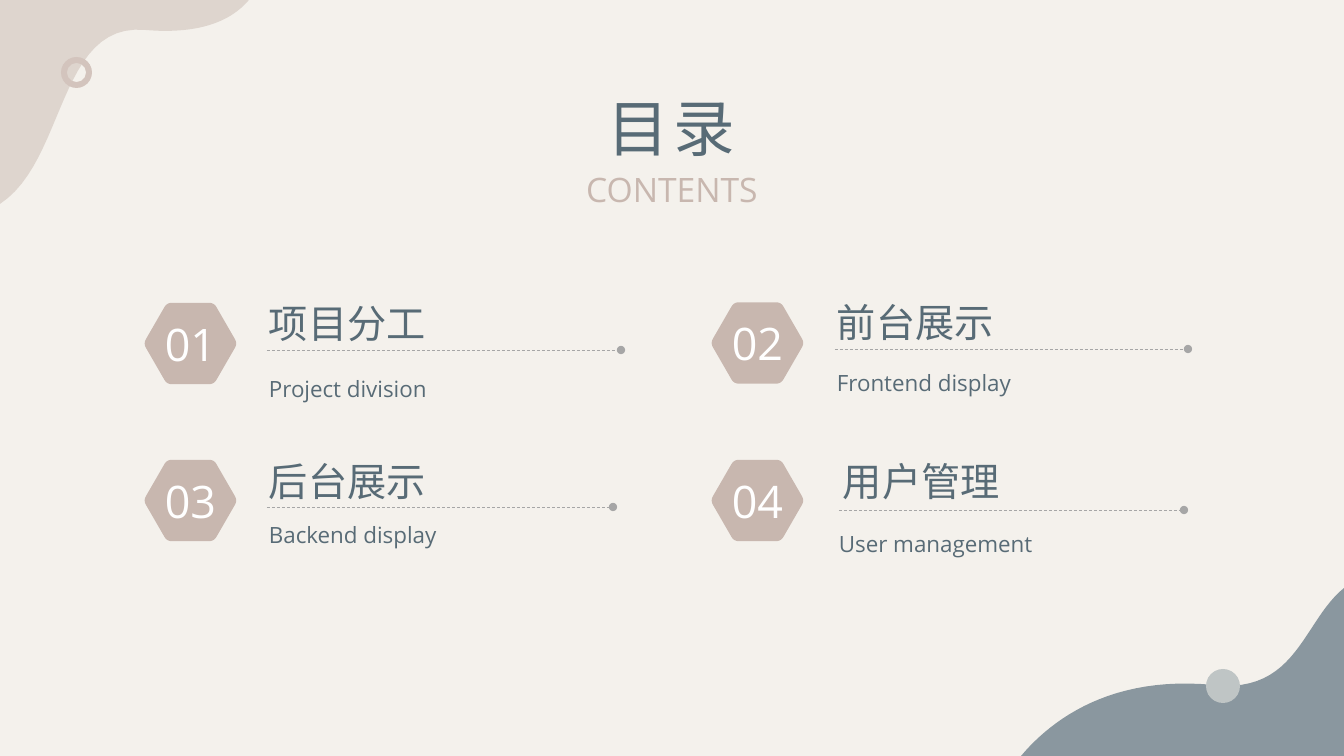
import dataclasses
import math

import lxml.etree
import pptx
import pptx.dml.color
import pptx.enum.dml
import pptx.enum.shapes
import pptx.enum.text
import pptx.oxml.ns
import pptx.shapes.autoshape
import pptx.shapes.shapetree
import pptx.text.text
import pptx.util

RGBColor = pptx.dml.color.RGBColor
Align = pptx.enum.text.PP_ALIGN
Anchor = pptx.enum.text.MSO_ANCHOR
Preset = pptx.enum.shapes.MSO_SHAPE
Shapes = pptx.shapes.shapetree.SlideShapes
Point = tuple[float, float]

EMU_PER_PX = 12192000 / 1344
SLIDE_WIDTH, SLIDE_HEIGHT = 1344, 756

CREAM = RGBColor(0xF4, 0xF1, 0xEC)
SAND = RGBColor(0xDE, 0xD5, 0xCE)
RING = RGBColor(0xD3, 0xC4, 0xBD)
ROSE = RGBColor(0xC8, 0xB7, 0xAF)
SLATE = RGBColor(0x8A, 0x97, 0x9F)
MIST = RGBColor(0xBF, 0xC5, 0xC5)
INK = RGBColor(0x58, 0x6B, 0x76)
GRAY = RGBColor(0xA6, 0xA6, 0xA6)
WHITE = RGBColor(0xFF, 0xFF, 0xFF)

CHINESE_FONT = "Noto Sans CJK SC"
LATIN_FONT = "Open Sans"
HEXAGON_RADIUS = 47
CORNER_CUT = 5 / HEXAGON_RADIUS


@dataclasses.dataclass(frozen=True)
class TextStyle:
    font: str
    points: int
    color: RGBColor
    spacing: int = 0
    paragraph: dict = dataclasses.field(default_factory=dict)
    frame: dict = dataclasses.field(default_factory=dict)


@dataclasses.dataclass(frozen=True)
class Entry:
    number: str
    heading: str
    caption: str
    hexagon_center: Point
    heading_corner: tuple[int, int]
    rule_start: tuple[int, int]
    rule_end_x: int
    caption_corner: tuple[int, int]


FITTED = {"word_wrap": False,
          "auto_size": pptx.enum.text.MSO_AUTO_SIZE.SHAPE_TO_FIT_TEXT}
MIDDLE = {"word_wrap": True, "vertical_anchor": Anchor.MIDDLE}
CENTERED = {"alignment": Align.CENTER}

TITLE = TextStyle(CHINESE_FONT, 44, INK, 300, CENTERED, FITTED)
SUBTITLE = TextStyle(LATIN_FONT, 24, ROSE, 0, CENTERED, FITTED)
HEADING = TextStyle(CHINESE_FONT, 28, INK, 0, {"alignment": Align.LEFT},
                    FITTED | {"vertical_anchor": Anchor.MIDDLE})
CAPTION = TextStyle(LATIN_FONT, 16, INK, 0,
                    {"alignment": Align.LEFT, "line_spacing": 1.3}, MIDDLE)
NUMBER = TextStyle(LATIN_FONT, 32, WHITE, 0, CENTERED, MIDDLE)

ENTRIES = [
    Entry("01", "项目分工", "Project division",
          (190.5, 343.5), (259, 294), (267, 350), 621, (259, 370)),
    Entry("02", "前台展示", "Frontend display",
          (757.5, 343), (827, 293), (835, 349), 1188, (827, 364)),
    Entry("03", "后台展示", "Backend display",
          (190.5, 500.5), (259, 452), (267, 507), 613, (259, 516)),
    Entry("04", "用户管理", "User management",
          (757.5, 500.5), (833, 452), (839, 510), 1184, (829, 525)),
]


def px(length: float) -> pptx.util.Emu:
    return pptx.util.Emu(round(length * EMU_PER_PX))


def bezier(*controls: Point, steps: int = 24) -> list[Point]:
    """Points along a Bezier curve of any degree."""
    degree = len(controls) - 1
    points = []
    for step in range(steps + 1):
        t = step / steps
        weights = [math.comb(degree, i) * t**i * (1 - t)**(degree - i)
                   for i in range(degree + 1)]
        points.append((sum(w * x for w, (x, _) in zip(weights, controls)),
                       sum(w * y for w, (_, y) in zip(weights, controls))))
    return points


def between(start: Point, end: Point, share: float) -> Point:
    return (start[0] + (end[0] - start[0]) * share,
            start[1] + (end[1] - start[1]) * share)


def rounded_hexagon(center: Point) -> list[Point]:
    corners = [(center[0] + HEXAGON_RADIUS * math.cos(i * math.pi / 3),
                center[1] + HEXAGON_RADIUS * math.sin(i * math.pi / 3))
               for i in range(6)]
    outline = []
    for i, corner in enumerate(corners):
        before = between(corner, corners[i - 1], CORNER_CUT)
        after = between(corner, corners[(i + 1) % 6], CORNER_CUT)
        outline += bezier(before, corner, after, steps=6)
    return outline


def paint(shape: pptx.shapes.autoshape.Shape, color: RGBColor) -> None:
    shape.shadow.inherit = False
    shape.fill.solid()
    shape.fill.fore_color.rgb = color
    shape.line.fill.background()


def add_outline(shapes: Shapes, points: list[Point],
                color: RGBColor) -> pptx.shapes.autoshape.Shape:
    vertices = [(px(x), px(y)) for x, y in points]
    builder = shapes.build_freeform(*vertices[0])
    builder.add_line_segments(vertices[1:], close=True)
    shape = builder.convert_to_shape()
    paint(shape, color)
    return shape


def add_preset(shapes: Shapes, preset: Preset, left: int, top: int, size: int,
               color: RGBColor) -> pptx.shapes.autoshape.Shape:
    shape = shapes.add_shape(preset, px(left), px(top), px(size), px(size))
    paint(shape, color)
    return shape


def write(frame: pptx.text.text.TextFrame, text: str, style: TextStyle) -> None:
    for name, value in style.frame.items():
        setattr(frame, name, value)
    paragraph = frame.paragraphs[0]
    for name, value in style.paragraph.items():
        setattr(paragraph, name, value)
    run = paragraph.add_run()
    run.text = text
    for name, value in {"name": style.font,
                        "size": pptx.util.Pt(style.points)}.items():
        setattr(run.font, name, value)
    run.font.color.rgb = style.color
    properties = run._r.get_or_add_rPr()
    lxml.etree.SubElement(properties, pptx.oxml.ns.qn("a:ea"),
                          typeface=style.font)
    if style.spacing:
        properties.set("spc", str(style.spacing))


def add_text(shapes: Shapes, left: int, top: int, width: int, height: int,
             text: str, style: TextStyle) -> None:
    box = shapes.add_textbox(px(left), px(top), px(width), px(height))
    write(box.text_frame, text, style)


def add_rule(shapes: Shapes, start: tuple[int, int], end_x: int) -> None:
    x, y = start
    rule = shapes.add_connector(pptx.enum.shapes.MSO_CONNECTOR.STRAIGHT,
                                px(x), px(y), px(end_x), px(y))
    rule.line.color.rgb = GRAY
    for name, value in {"width": pptx.util.Pt(0.5),
                        "dash_style": pptx.enum.dml.MSO_LINE.DASH}.items():
        setattr(rule.line, name, value)
    lxml.etree.SubElement(rule.line._get_or_add_ln(),
                          pptx.oxml.ns.qn("a:tailEnd"), type="oval")
    lxml.etree.SubElement(rule._element.spPr, pptx.oxml.ns.qn("a:effectLst"))


def add_entry(shapes: Shapes, entry: Entry) -> None:
    add_rule(shapes, entry.rule_start, entry.rule_end_x)
    add_text(shapes, *entry.heading_corner, 178, 57, entry.heading, HEADING)
    add_text(shapes, *entry.caption_corner, 330, 29, entry.caption, CAPTION)
    hexagon = add_outline(shapes, rounded_hexagon(entry.hexagon_center), ROSE)
    write(hexagon.text_frame, entry.number, NUMBER)


def main() -> None:
    presentation = pptx.Presentation()
    presentation.slide_width = px(SLIDE_WIDTH)
    presentation.slide_height = px(SLIDE_HEIGHT)
    slide = presentation.slides.add_slide(presentation.slide_layouts[6])
    slide.background.fill.solid()
    slide.background.fill.fore_color.rgb = CREAM
    shapes = slide.shapes

    # Top left wave and ring
    add_outline(shapes, [(0, 0)]
                + bezier((0, 204), (66, 161), (58, 22), (145, 30))
                + bezier((145, 30), (203, 35), (233, 19), (249, 0)), SAND)
    ring = add_preset(shapes, Preset.DONUT, 61, 57, 31, RING)
    ring.adjustments[0] = 0.19

    # Bottom right wave and dot
    add_outline(shapes, [(SLIDE_WIDTH, SLIDE_HEIGHT)]
                + bezier((1344, 588), (1303, 621), (1297, 694), (1214, 685))
                + bezier((1214, 685), (1113, 675), (1053, 718), (1021, 756)),
                SLATE)
    add_preset(shapes, Preset.OVAL, 1206, 669, 34, MIST)

    # Title and contents
    add_text(shapes, 595, 85, 153, 85, "目录", TITLE)
    add_text(shapes, 575, 164, 194, 50, "CONTENTS", SUBTITLE)
    for entry in ENTRIES:
        add_entry(shapes, entry)

    presentation.save("out.pptx")


if __name__ == "__main__":
    main()
